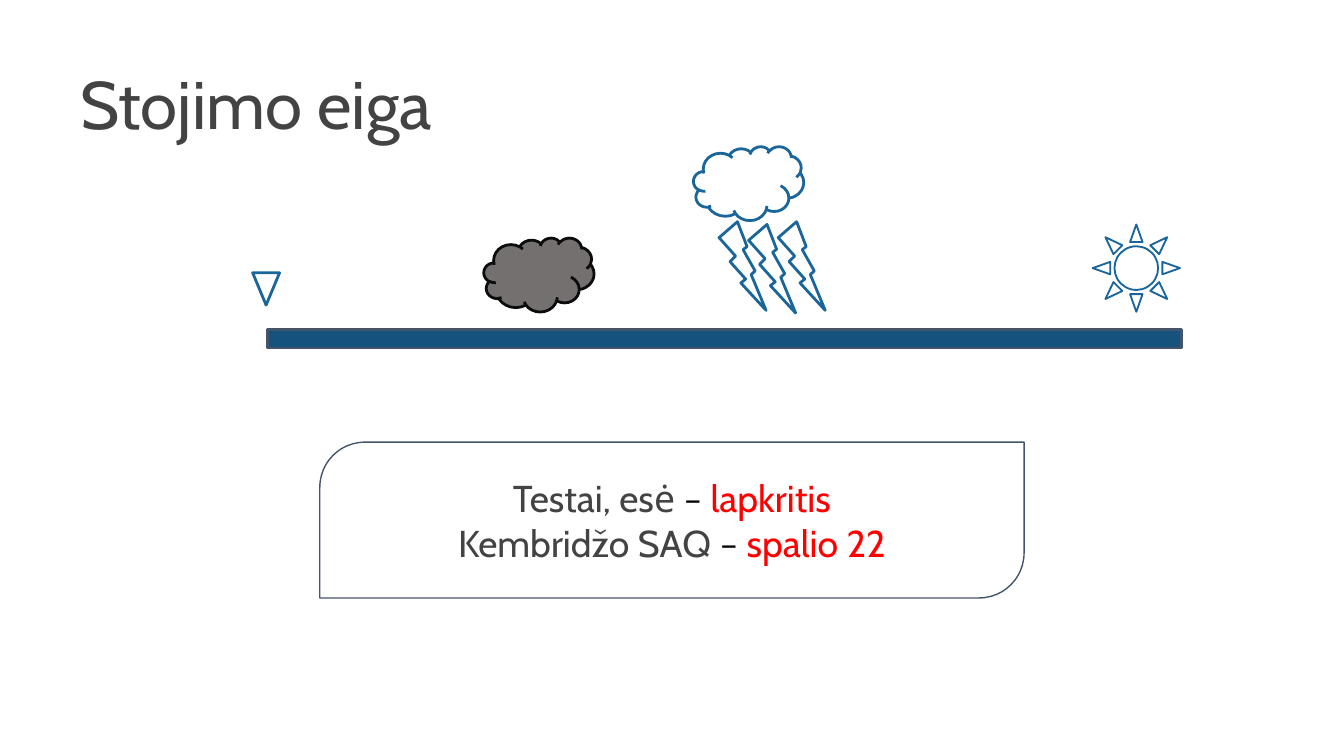
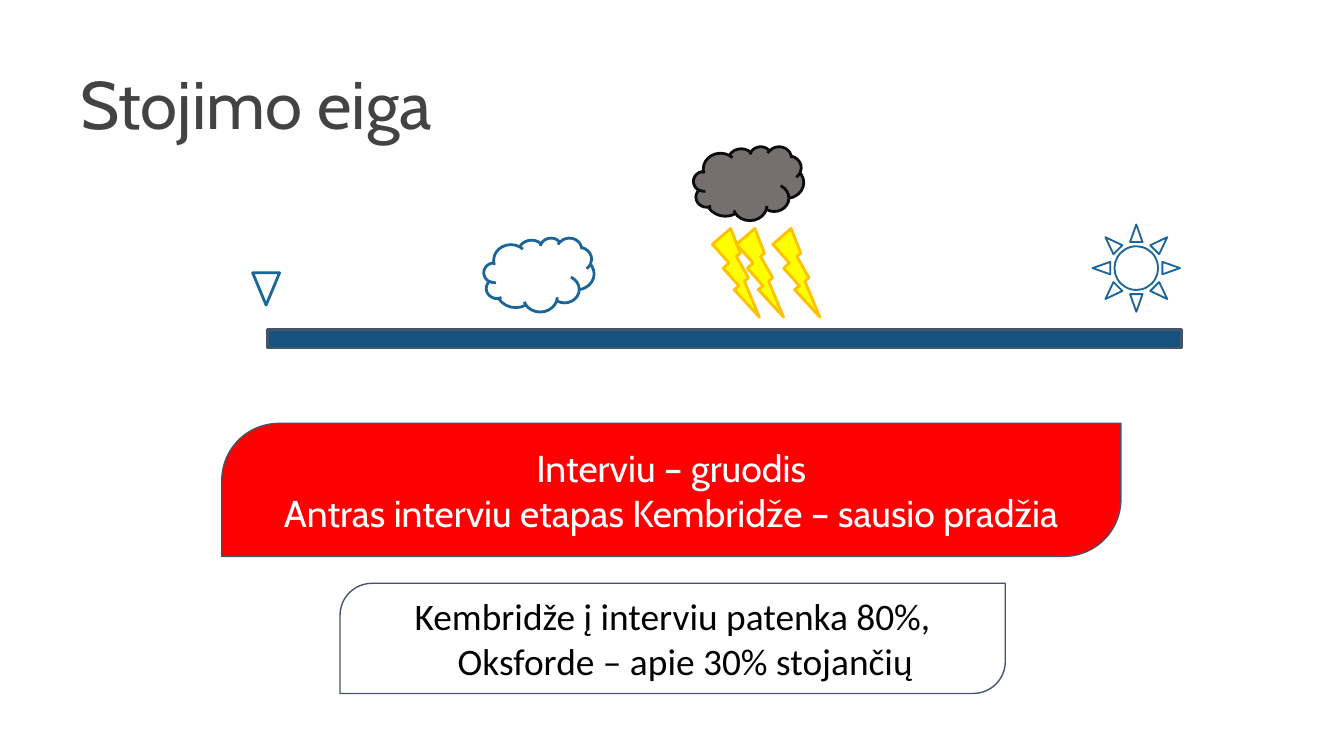
from lxml import etree
from pptx import Presentation
from pptx.dml.color import RGBColor
from pptx.enum import shapes, text
from pptx.oxml import ns
from pptx.util import Inches, Pt

# Shared colours and fonts
WHITE = RGBColor(0xFF, 0xFF, 0xFF)
BLACK = RGBColor(0x00, 0x00, 0x00)
GREY = RGBColor(0x43, 0x43, 0x43)
RED = RGBColor(0xFF, 0x00, 0x00)
BLUE = RGBColor(0x1A, 0x66, 0x9A)
BAR_BLUE = RGBColor(0x15, 0x53, 0x7E)
SLATE = RGBColor(0x44, 0x54, 0x6A)
STORM_FILL = RGBColor(0x75, 0x70, 0x70)
STORM_LINE = RGBColor(0x0C, 0x0C, 0x0C)
YELLOW = RGBColor(0xFF, 0xFF, 0x00)
AMBER = RGBColor(0xFF, 0xC0, 0x00)
CABIN, CALIBRI = "Cabin", "Calibri"

# Icon styles: fill and line
PLAIN = (WHITE, BLUE)
STORM = (STORM_FILL, STORM_LINE)
FLASH = (YELLOW, AMBER)

KIND = shapes.MSO_SHAPE


def add_run(p, words, size=20, font=CABIN, color=GREY):
    r = p.add_run()
    r.text = words
    r.font.size = Pt(size)
    r.font.name = font
    r.font.color.rgb = color


def set_frame(tf, anchor):
    tf.word_wrap = True
    tf.vertical_anchor = anchor
    tf.margin_left = tf.margin_right = Inches(0.1)
    tf.margin_top = tf.margin_bottom = Inches(0.1)


def add_shape(s, kind, x, y, w, h, style=PLAIN, weight=1.5):
    sp = s.shapes.add_shape(kind, Inches(x), Inches(y), Inches(w), Inches(h))
    sp.shadow.inherit = False
    sp.fill.solid()
    sp.fill.fore_color.rgb, sp.line.color.rgb = style
    sp.line.width = Pt(weight)
    return sp


def add_title(s, words):
    sp = s.shapes.add_textbox(Inches(0.5), Inches(0.23), Inches(9), Inches(0.94))
    set_frame(sp.text_frame, text.MSO_ANCHOR.BOTTOM)
    p = sp.text_frame.paragraphs[0]
    p.line_spacing = 0.9
    add_run(p, words, size=36)


def add_cloud(s, x, y, style=PLAIN):
    add_shape(s, KIND.CLOUD, x, y, 0.82, 0.55, style)


def add_bolts(s, places, style=PLAIN):
    for x, y in places:
        add_shape(s, KIND.LIGHTNING_BOLT, x, y, 0.35, 0.66, style)


def add_timeline(s, first_cloud, second_cloud):
    """Bar with the start marker, two clouds and the sun."""
    marker = add_shape(s, KIND.ISOSCELES_TRIANGLE, 1.88, 2.03, 0.2, 0.24)
    marker.rotation = 180
    add_shape(s, KIND.RECTANGLE, 1.99, 2.45, 6.8, 0.14, (BAR_BLUE, SLATE))
    add_cloud(s, 3.6, 1.77, first_cloud)
    add_cloud(s, 5.16, 1.09, second_cloud)
    add_shape(s, KIND.SUN, 8.13, 1.67, 0.65, 0.65, weight=1)


def set_alpha(sp, percent):
    color = sp.fill._xPr.find(".//" + ns.qn("a:srgbClr"))
    etree.SubElement(color, ns.qn("a:alpha")).set("val", str(percent * 1000))


def add_callout(s, box, lines, fill=WHITE, corner=0.29, alpha=None):
    """Box with two round corners; each line is a list of (words, format)."""
    sp = add_shape(s, KIND.ROUND_2_DIAG_RECTANGLE, *box, (fill, SLATE), 0.75)
    sp.adjustments[0] = corner
    sp.adjustments[1] = 0
    if alpha:
        set_alpha(sp, alpha)
    tf = sp.text_frame
    set_frame(tf, text.MSO_ANCHOR.MIDDLE)
    for i, line in enumerate(lines):
        p = tf.add_paragraph() if i else tf.paragraphs[0]
        p.alignment = text.PP_ALIGN.CENTER
        pPr = p._p.get_or_add_pPr()
        pPr.set("marL", str(Inches(0.19)))
        pPr.set("indent", str(-Inches(0.19)))
        for words, style in line:
            add_run(p, words, **style)


def add_slide(prs):
    s = prs.slides.add_slide(prs.slide_layouts[6])
    add_title(s, "Stojimo eiga")
    return s


def build_tests(prs):
    s = add_slide(prs)
    add_timeline(s, STORM, PLAIN)
    add_bolts(s, [(5.79, 1.65), (5.57, 1.67), (5.35, 1.65)])
    deadlines = [("Testai, esė ", "lapkritis"), ("Kembridžo SAQ ", "spalio 22")]
    lines = [[(what, {}),
              ("– ", {"font": CALIBRI, "color": BLACK}),
              (when, {"color": RED})] for what, when in deadlines]
    add_callout(s, (2.38, 3.29, 5.24, 1.16), lines, alpha=70)


def build_interviews(prs):
    s = add_slide(prs)
    add_timeline(s, PLAIN, STORM)
    dates = ["Interviu – gruodis",
             "Antras interviu etapas Kembridže – sausio pradžia"]
    add_callout(s, (1.65, 3.15, 6.69, 0.99),
                [[(words, {"color": WHITE})] for words in dates],
                fill=RED, corner=0.43)
    add_bolts(s, [(5.3, 1.7), (5.48, 1.7), (5.75, 1.7)], FLASH)
    odds = "Kembridže į interviu patenka 80%, Oksforde – apie 30% stojančių"
    add_callout(s, (2.53, 4.34, 4.95, 0.82),
                [[(odds, {"font": CALIBRI, "color": BLACK})]], alpha=70)


def main():
    prs = Presentation()
    # Widescreen, 16:9
    prs.slide_width = Inches(10)
    prs.slide_height = Inches(10) * 9 // 16
    build_tests(prs)
    build_interviews(prs)
    prs.save("out.pptx")


if __name__ == "__main__":
    main()
